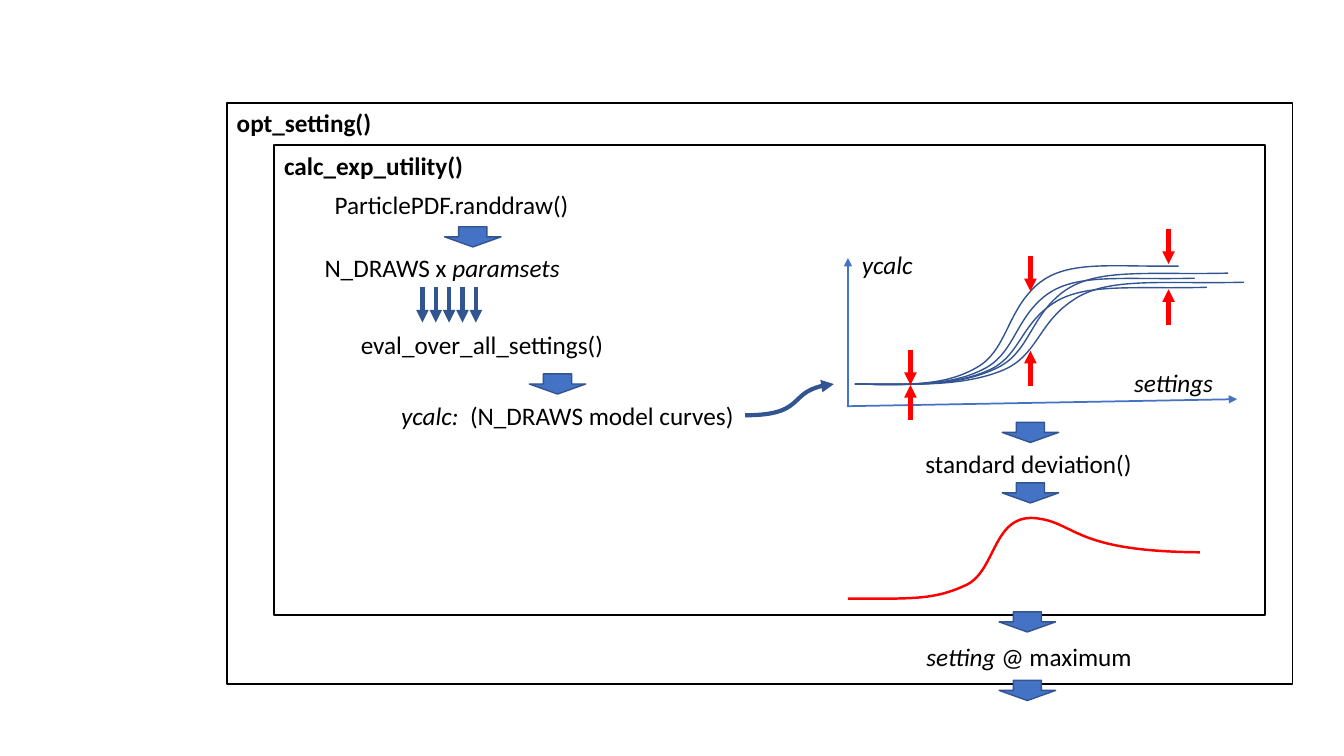
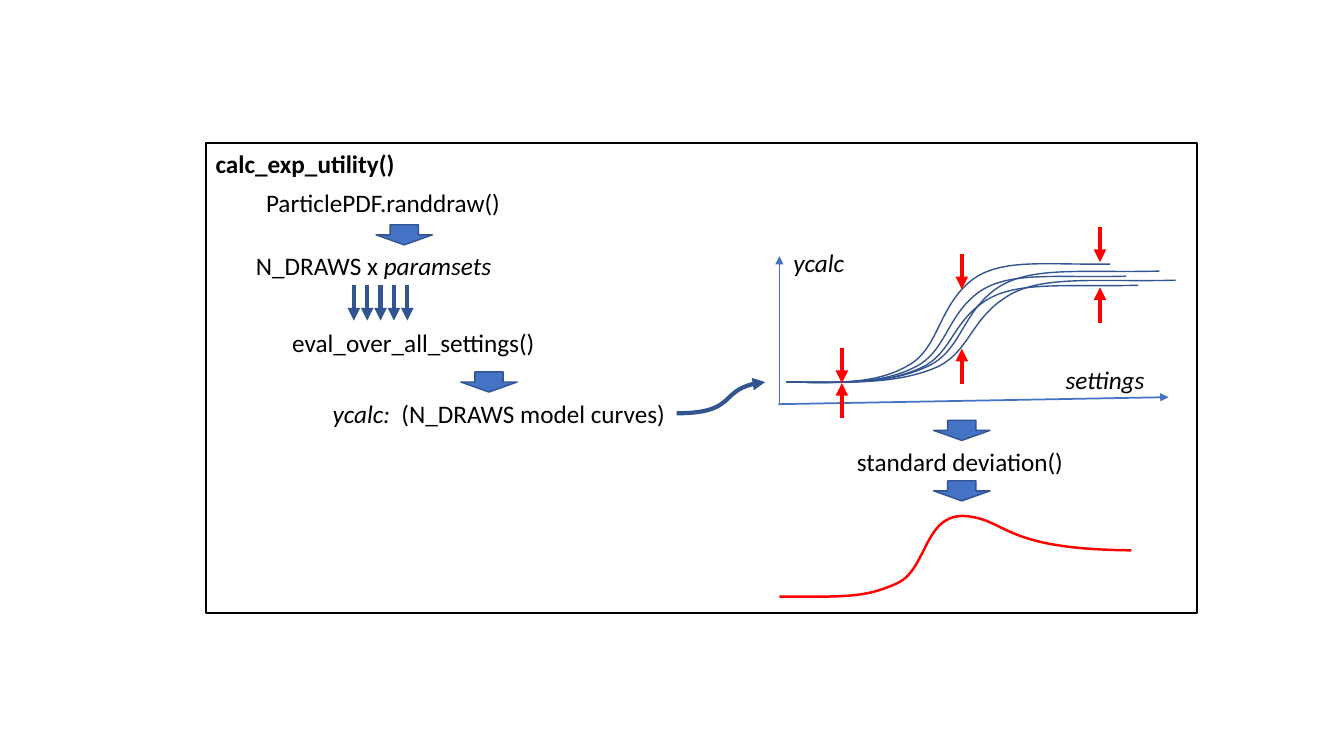
from dataclasses import dataclass
from typing import Any

from lxml.etree import SubElement
from pptx import Presentation
from pptx.dml.color import RGBColor
from pptx.enum.shapes import MSO_CONNECTOR, MSO_SHAPE
from pptx.enum.text import MSO_ANCHOR, MSO_AUTO_SIZE, PP_ALIGN
from pptx.oxml.ns import qn
from pptx.util import Inches, Pt

COLORS = {"black": "000000", "blue": "4472C4", "navy": "325491", "red": "FF0000"}
FONT = "Calibri"
ARROW_LENGTH = 0.35
Point = tuple[float, float]


@dataclass(frozen=True)
class Box:
    left: float
    top: float
    width: float
    height: float

    def lengths(self) -> list[int]:
        return [Inches(v) for v in (self.left, self.top, self.width, self.height)]


@dataclass(frozen=True)
class Frame:
    title: str
    box: Box


@dataclass(frozen=True)
class Label:
    left: float
    top: float
    width: float
    runs: tuple[tuple[str, bool], ...]


@dataclass(frozen=True)
class Curve:
    points: tuple[Point, ...]
    color: str = "navy"
    width: float = 1
    arrow: bool = False


@dataclass(frozen=True)
class Arrow:
    start: Point
    end: Point
    color: str
    width: float = 3


@dataclass(frozen=True)
class Spread:
    x: float
    upper: float
    lower: float


OPT_FRAME = Frame("opt_setting()", Box(2.25, 1.02, 10.57, 5.77))
CALC_FRAME = Frame("calc_exp_utility()", Box(2.72, 1.44, 9.83, 4.66))
RESULT = Label(9.09, 6.31, 2.27, (("setting", True), (" @ maximum", False)))
RESULT_BLOCKS = ((9.91, 6.07), (9.91, 6.75))

LABELS = (
    Label(3.22, 1.83, 2.61, (("ParticlePDF.randdraw()", False),)),
    Label(3.12, 2.45, 2.58, (("N_DRAWS x ", False), ("paramsets", True))),
    Label(3.48, 3.22, 2.64, (("eval_over_all_settings()", False),)),
    Label(3.88, 3.92, 3.53, (("ycalc: ", True), (" (N_DRAWS model curves)", False))),
    Label(11.15, 3.59, 1, (("settings", True),)),
    Label(8.45, 2.42, 0.71, (("ycalc", True),)),
    Label(9.08, 4.4, 2.27, (("standard deviation()", False),)),
)
STEP_BLOCKS = ((4.41, 2.25), (5.25, 3.71), (9.94, 4.19), (9.94, 4.79))
CURVES = (
    Curve(((7.39, 4.12), (7.98, 4.12), (7.79, 3.86), (8.27, 3.81)), width=3, arrow=True),
    Curve(((8.48, 3.81), (9.17, 3.82), (9.57, 3.82), (9.93, 3.68), (10.29, 3.54),
           (10.29, 3.21), (10.64, 2.98), (10.98, 2.74), (11.53, 2.82), (12.34, 2.8))),
    Curve(((8.48, 3.81), (9.05, 3.82), (9.38, 3.82), (9.68, 3.65), (9.98, 3.49),
           (9.98, 3.11), (10.27, 2.84), (10.56, 2.57), (11.01, 2.65), (11.69, 2.64))),
    Curve(((8.48, 3.81), (9.08, 3.82), (9.43, 3.82), (9.74, 3.67), (10.06, 3.52),
           (10.06, 3.18), (10.36, 2.94), (10.66, 2.7), (11.14, 2.78), (11.85, 2.76))),
    Curve(((8.48, 3.81), (9.14, 3.82), (9.52, 3.82), (9.87, 3.66), (10.21, 3.51),
           (10.21, 3.15), (10.54, 2.9), (10.87, 2.65), (11.4, 2.73), (12.18, 2.71))),
    Curve(((8.48, 3.81), (9.1, 3.82), (9.46, 3.82), (9.79, 3.68), (10.11, 3.55),
           (10.11, 3.24), (10.43, 3.02), (10.74, 2.8), (11.23, 2.87), (11.97, 2.85))),
    Curve(((8.41, 5.94), (9.07, 5.94), (9.26, 5.95), (9.57, 5.81), (9.88, 5.68),
           (9.84, 5.11), (10.26, 5.14), (10.68, 5.18), (10.62, 5.47), (11.9, 5.48)),
          "red", 1.75),
)
AXES = (
    Arrow((8.4, 4.03), (12.27, 3.96), "blue", 1.25),
    Arrow((8.41, 4.03), (8.41, 2.56), "blue", 1.25),
)
DRAWS = tuple(
    Arrow((x, 2.85), (x, 2.85 + ARROW_LENGTH), "navy")
    for x in (4.19 + 0.53 * i / 4 for i in range(5))
)
SPREADS = (Spread(9.03, 3.82, 3.82), Spread(10.22, 2.89, 3.48), Spread(11.59, 2.62, 2.87))


def rgb(name: str) -> RGBColor:
    return RGBColor.from_string(COLORS[name])


def set_line(s: Any, color: str, width: float, arrow: bool = False) -> None:
    s.line.color.rgb = rgb(color)
    s.line.width = Pt(width)
    if arrow:
        SubElement(s.line._get_or_add_ln(), qn("a:tailEnd"), type="triangle")


def set_font(p: Any, bold: bool = False) -> None:
    p.font.name = FONT
    p.font.size = Pt(18)
    p.font.bold = bold
    p.font.color.rgb = rgb("black")


def add_frame(shapes: Any, frame: Frame) -> None:
    s = shapes.add_shape(MSO_SHAPE.RECTANGLE, *frame.box.lengths())
    s.shadow.inherit = False
    s.fill.background()
    set_line(s, "black", 1.25)
    tf = s.text_frame
    tf.vertical_anchor = MSO_ANCHOR.TOP
    p = tf.paragraphs[0]
    p.alignment = PP_ALIGN.LEFT
    p.add_run().text = frame.title
    set_font(p, bold=True)


def add_label(shapes: Any, label: Label) -> None:
    tf = shapes.add_textbox(*Box(label.left, label.top, label.width, 0.4).lengths()).text_frame
    tf.word_wrap = False
    tf.auto_size = MSO_AUTO_SIZE.SHAPE_TO_FIT_TEXT
    p = tf.paragraphs[0]
    set_font(p)
    for text, italic in label.runs:
        r = p.add_run()
        r.text = text
        r.font.italic = italic


def add_block_arrow(shapes: Any, left: float, top: float) -> None:
    s = shapes.add_shape(MSO_SHAPE.DOWN_ARROW, *Box(left, top, 0.56, 0.2).lengths())
    s.shadow.inherit = False
    s.fill.solid()
    s.fill.fore_color.rgb = rgb("blue")
    set_line(s, "navy", 1)


def add_arrow(shapes: Any, arrow: Arrow) -> None:
    ends = [Inches(v) for v in arrow.start + arrow.end]
    s = shapes.add_connector(MSO_CONNECTOR.STRAIGHT, *ends)
    set_line(s, arrow.color, arrow.width, arrow=True)
    SubElement(s._element.spPr, qn("a:effectLst"))


def add_curve(shapes: Any, curve: Curve) -> None:
    start, *rest = [(Inches(x), Inches(y)) for x, y in curve.points]
    builder = shapes.build_freeform(*start)
    builder.add_line_segments(rest, close=False)
    s = builder.convert_to_shape()
    s.shadow.inherit = False
    s.fill.background()
    set_line(s, curve.color, curve.width, curve.arrow)
    segments = s._element.xpath(".//a:lnTo")
    outline = segments[0].getparent()
    for i in range(0, len(segments), 3):
        bezier = SubElement(outline, qn("a:cubicBezTo"))
        for segment in segments[i:i + 3]:
            bezier.append(segment[0])
            outline.remove(segment)


def add_spread(shapes: Any, spread: Spread) -> None:
    for tip, tail in ((spread.upper, spread.upper - ARROW_LENGTH),
                      (spread.lower, spread.lower + ARROW_LENGTH)):
        add_arrow(shapes, Arrow((spread.x, tail), (spread.x, tip), "red"))


def add_utility_diagram(slide: Any, left: float, top: float) -> None:
    group = slide.shapes.add_group_shape()
    shapes = group.shapes
    add_frame(shapes, CALC_FRAME)
    for label in LABELS:
        add_label(shapes, label)
    for curve in CURVES:
        add_curve(shapes, curve)
    for arrow in DRAWS + AXES:
        add_arrow(shapes, arrow)
    for spread in SPREADS:
        add_spread(shapes, spread)
    for block in STEP_BLOCKS:
        add_block_arrow(shapes, *block)
    group.left, group.top = Inches(left), Inches(top)


def add_opt_setting_slide(prs: Any) -> None:
    slide = prs.slides.add_slide(prs.slide_layouts[6])
    add_frame(slide.shapes, OPT_FRAME)
    add_label(slide.shapes, RESULT)
    add_utility_diagram(slide, CALC_FRAME.box.left, CALC_FRAME.box.top)
    for block in RESULT_BLOCKS:
        add_block_arrow(slide.shapes, *block)


def add_calc_utility_slide(prs: Any) -> None:
    slide = prs.slides.add_slide(prs.slide_layouts[6])
    add_utility_diagram(slide, 2.04, 1.42)


def main() -> None:
    prs = Presentation()
    prs.slide_width, prs.slide_height = Inches(13.33), Inches(7.5)
    add_opt_setting_slide(prs)
    add_calc_utility_slide(prs)
    prs.save("out.pptx")


if __name__ == "__main__":
    main()
